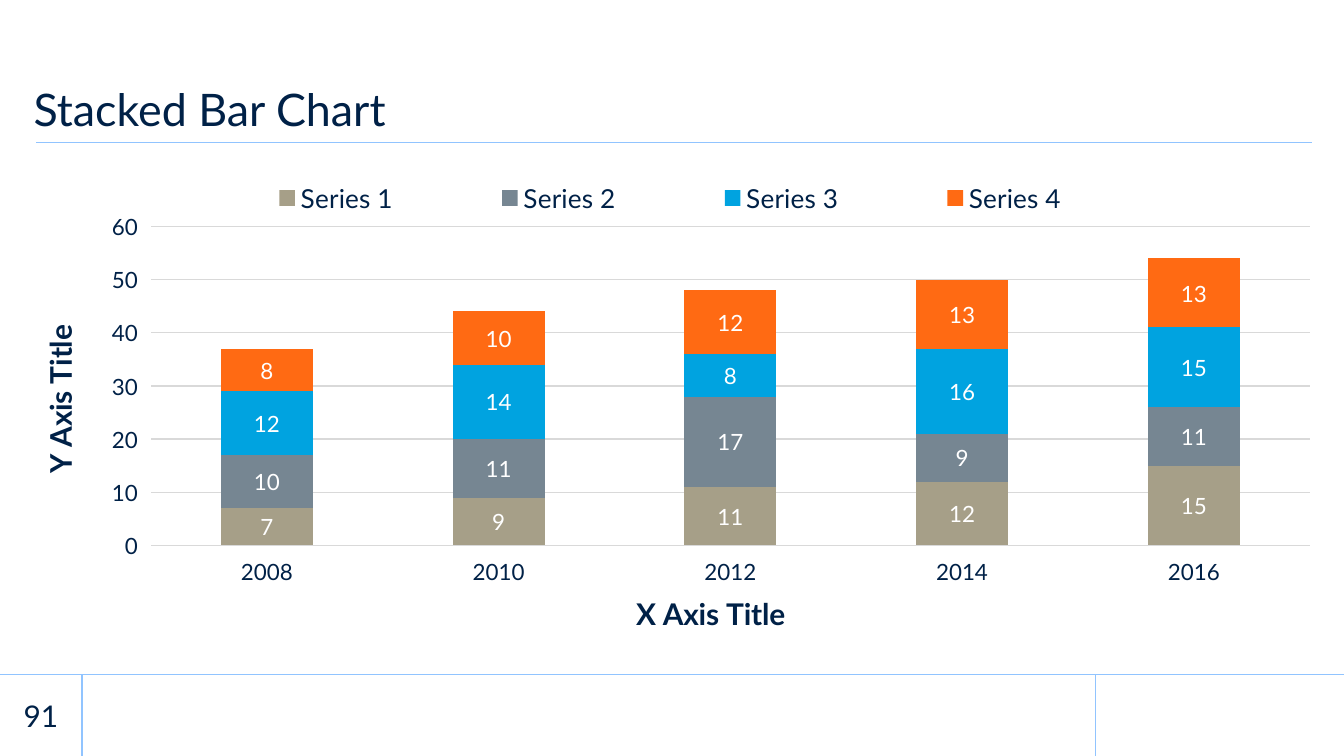
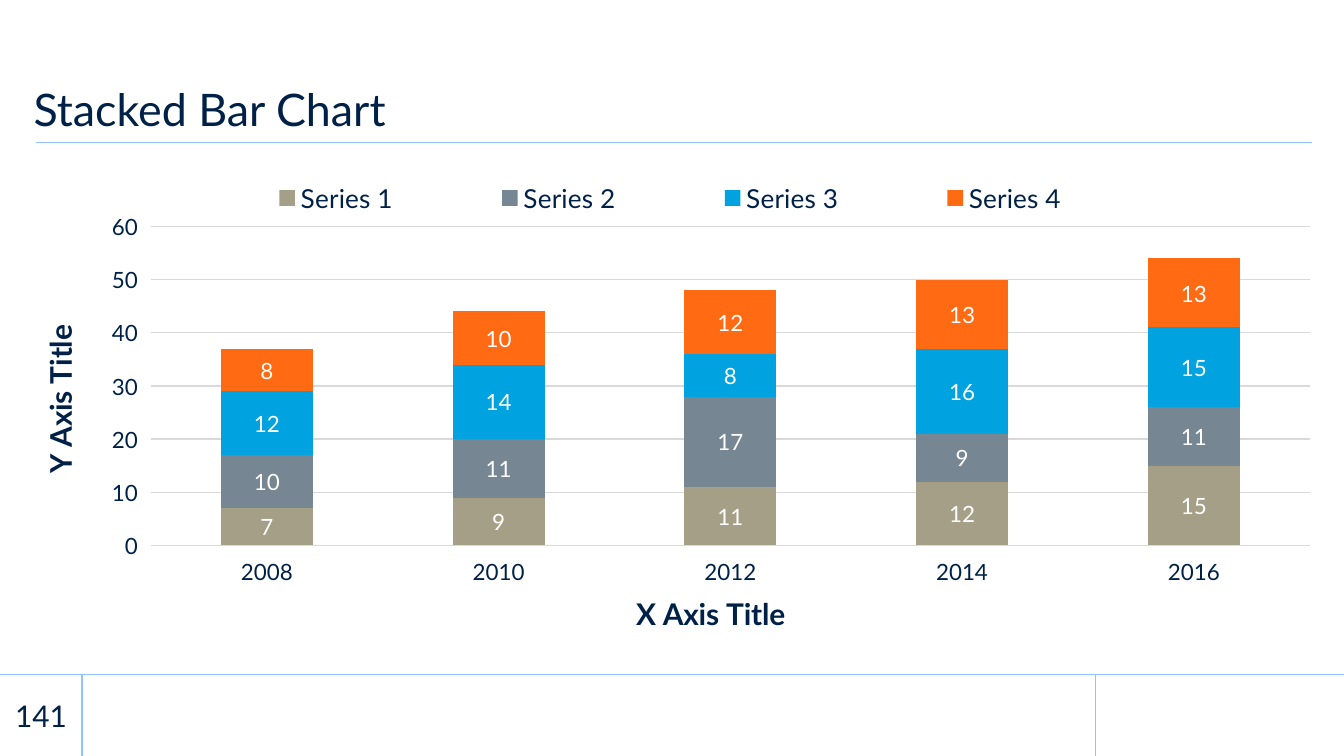
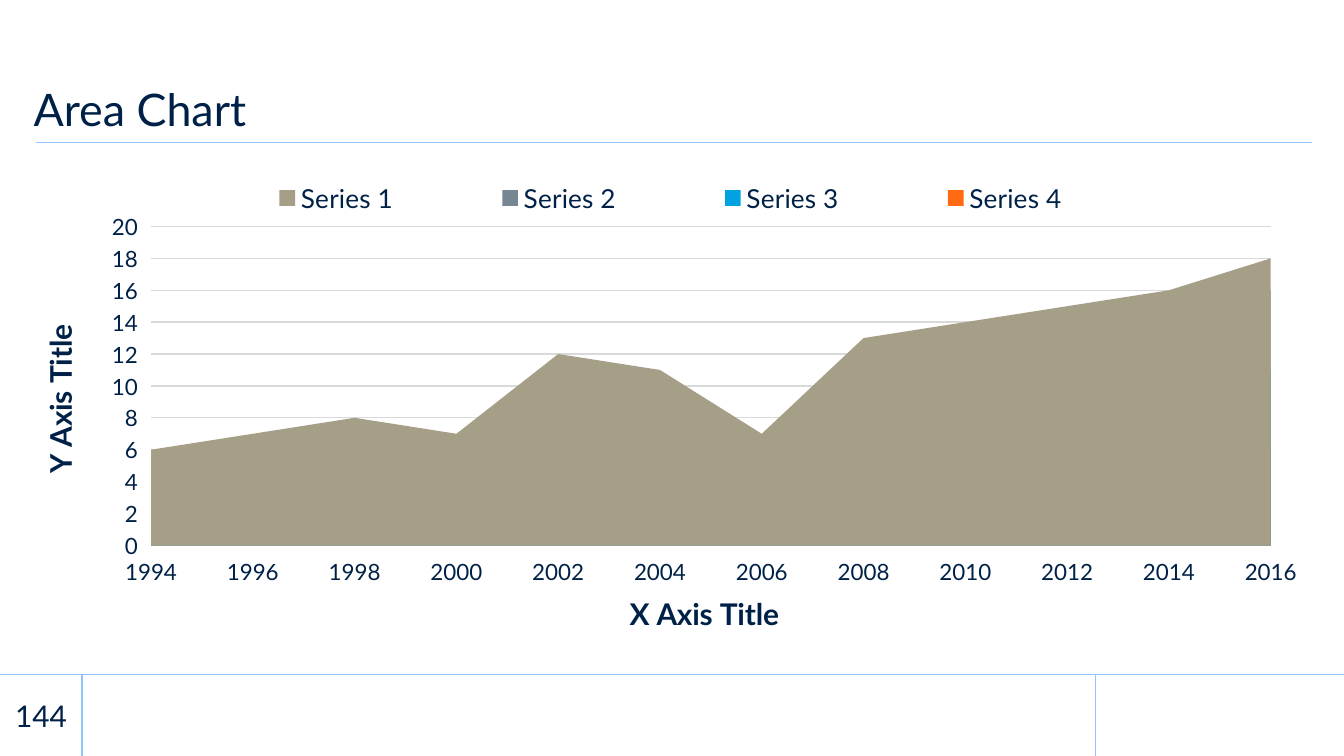
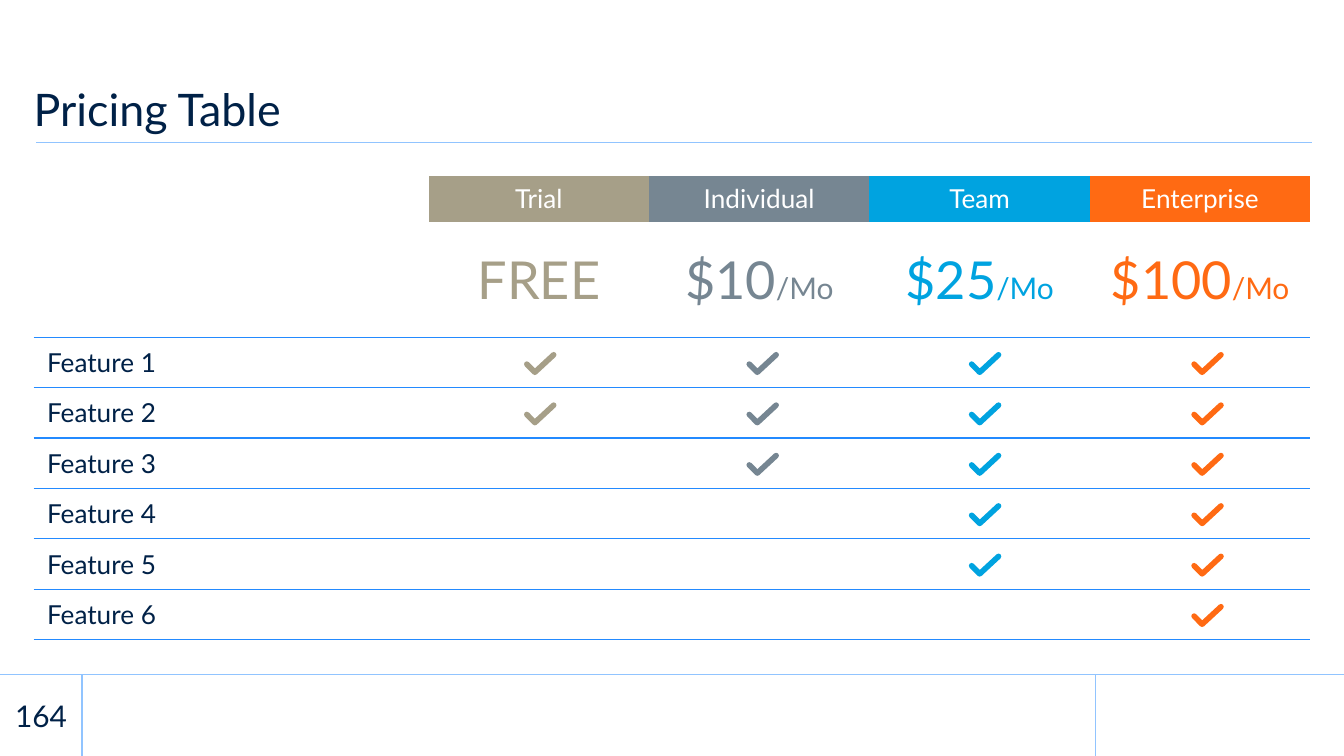
from lxml.etree import SubElement
from pptx import Presentation
from pptx.chart.data import CategoryChartData
from pptx.dml.color import RGBColor
from pptx.enum.chart import XL_CHART_TYPE as ChartType
from pptx.enum.chart import XL_LABEL_POSITION as LabelPosition
from pptx.enum.chart import XL_LEGEND_POSITION as LegendPosition
from pptx.enum.chart import XL_TICK_MARK as TickMark
from pptx.enum.shapes import MSO_CONNECTOR as Connector
from pptx.enum.shapes import MSO_SHAPE as Shape
from pptx.enum.text import MSO_ANCHOR as Anchor
from pptx.enum.text import MSO_AUTO_SIZE as AutoSize
from pptx.enum.text import PP_ALIGN as Align
from pptx.oxml.ns import qn
from pptx.util import Inches, Pt

FONT = "Lato"
NAVY, WHITE, BLACK = "002147", "FFFFFF", "000000"
RULE, GRID, ROW_LINE = "91C4FF", "D9D9D9", "238AFF"
ACCENTS = ["A69F88", "768692", "00A3E0", "FF6A13"]

WIDTH, HEIGHT = 10, 5.625
MARGIN = 0.25
BODY = (MARGIN, 1.31, WIDTH - 2 * MARGIN, 3.45)
FOOTER_TOP = 5.02
FOOTER_HEIGHT = HEIGHT - FOOTER_TOP
NUMBER_WIDTH, LOGO_LEFT = 0.61, 8.15
FOOTER_BANDS = [(0, WIDTH, 85), (LOGO_LEFT, WIDTH - LOGO_LEFT, 100)]  # left, width, opacity
RULES = [
    (WIDTH, FOOTER_TOP, 0, FOOTER_TOP),
    (LOGO_LEFT, HEIGHT, LOGO_LEFT, FOOTER_TOP),
    (NUMBER_WIDTH, HEIGHT, NUMBER_WIDTH, FOOTER_TOP),
    (9.76, 1.06, 0.27, 1.06),
]

# Chart areas are shares of the chart frame: left, top, width, height
LEGEND_AREA = (0.114, 0, 0.77, 0.095)
STACKED = {
    "type": ChartType.COLUMN_STACKED,
    "years": range(2008, 2017, 2),
    "values": [(7, 9, 11, 12, 15), (10, 11, 17, 9, 11),
               (12, 14, 8, 16, 15), (8, 10, 12, 13, 13)],
    "top": 60, "step": 10,
    "plot_area": (0.092, 0.109, 0.908, 0.688),
}
AREA = {
    "type": ChartType.AREA,
    "years": range(1994, 2017, 2),
    "values": [(6, 7, 8, 7, 12, 11, 7, 13, 14, 15, 16, 18),
               (3, 4, 5, 5, 8, 8, 5, 7, 8, 11, 13, 16),
               (2, 3, 4, 4, 6, 6, 3, 5, 6, 7, 9, 11),
               (1, 2, 3, 2, 3, 3, 2, 3, 4, 5, 5, 6)],
    "top": 20, "step": 2,
    "plot_area": (0.092, 0.109, 0.877, 0.688),
}

PLANS = [  # name, price, unit, number of features included
    ("Trial", "FREE", "", 2),
    ("Individual", "$10", "/Mo", 3),
    ("Team", "$25", "/Mo", 5),
    ("Enterprise", "$100", "/Mo", 6),
]
FEATURES = [f"Feature {number}" for number in range(1, 7)]
FEATURE_WIDTH, PLAN_WIDTH = 2.94, 1.64
NAME_HEIGHT, PRICE_HEIGHT, FEATURE_HEIGHT = 0.34, 0.86, 0.375
NO_STYLE = "{2D5ABB26-0587-4C30-8999-92F81FD0307C}"
CHECK_START, CHECK_PITCH = (3.92, 2.64), (1.655, FEATURE_HEIGHT)
CHECK_POINTS = [(0, 0.07), (0.06, 0.13), (0.2, 0)]


def rgb(value):
    return RGBColor.from_string(value)


def inches(*lengths):
    return [Inches(length) for length in lengths]


def style_font(font, size, color):
    for name, value in {"name": FONT, "size": Pt(size)}.items():
        setattr(font, name, value)
    font.color.rgb = rgb(color)


def style_line(line, color, width):
    line.color.rgb = rgb(color)
    line.width = Pt(width)


def write(para, text, size, color):
    span = para.add_run()
    span.text = text
    style_font(span.font, size, color)


def add_frame_to_layout(page, layout):
    """Draw the bands and rules on the page, then move them to its layout."""
    parts = []
    for left, width, opacity in FOOTER_BANDS:
        band = page.shapes.add_shape(
            Shape.RECTANGLE, *inches(left, FOOTER_TOP, width, FOOTER_HEIGHT))
        band.shadow.inherit = False
        band.fill.solid()
        band.fill.fore_color.rgb = rgb(WHITE)
        band.line.fill.background()
        if opacity < 100:
            color = band.element.spPr.find(".//" + qn("a:srgbClr"))
            SubElement(color, qn("a:alpha"), val=str(opacity * 1000))
        parts.append(band)
    for ends in RULES:
        rule = page.shapes.add_connector(Connector.STRAIGHT, *inches(*ends))
        style_line(rule.line, RULE, 0.75)
        SubElement(rule.element.spPr, qn("a:effectLst"))
        parts.append(rule)
    for part in parts:
        layout.shapes.element.append(part.element)


def set_frame(frame, **values):
    for name, value in values.items():
        setattr(frame, name, value)


def add_title(page, text):
    title = page.shapes.title
    title.left, title.top, title.width, title.height = inches(MARGIN, 0.26, BODY[2], 0.8)
    set_frame(title.text_frame, margin_left=0, margin_top=0, margin_right=0,
              margin_bottom=Inches(0.05), vertical_anchor=Anchor.BOTTOM,
              word_wrap=True, auto_size=AutoSize.NONE)
    para = title.text_frame.paragraphs[0]
    para.alignment = Align.LEFT
    para.line_spacing = 0.9
    write(para, text, 24, NAVY)


def add_number(page, number):
    box = page.shapes.add_textbox(*inches(0, FOOTER_TOP, NUMBER_WIDTH, FOOTER_HEIGHT))
    set_frame(box.text_frame, margin_left=0, margin_top=0, margin_right=0, margin_bottom=0,
              vertical_anchor=Anchor.MIDDLE, word_wrap=False)
    para = box.text_frame.paragraphs[0]
    para.alignment = Align.CENTER
    write(para, str(number), 16, NAVY)


def place(part, area, inner=False):
    """Give a plot area or legend a fixed place within its chart."""
    layout = part.find(qn("c:layout"))
    if layout is None:
        layout = SubElement(part, qn("c:layout"))
        if part.tag == qn("c:legend"):
            part.find(qn("c:legendPos")).addnext(layout)
        else:
            part.insert(0, layout)
    for child in list(layout):
        layout.remove(child)
    manual = SubElement(layout, qn("c:manualLayout"))
    settings = [("layoutTarget", "inner")] if inner else []
    settings += [("xMode", "edge"), ("yMode", "edge"), *zip("xywh", area)]
    for name, value in settings:
        SubElement(manual, qn(f"c:{name}"), val=str(value))


def style_axis(axis, title):
    axis.major_tick_mark = TickMark.OUTSIDE
    axis.minor_tick_mark = TickMark.NONE
    axis.format.line.fill.background()
    style_font(axis.tick_labels.font, 12, NAVY)
    write(axis.axis_title.text_frame.paragraphs[0], title, 16, NAVY)


def add_chart(page, content):
    data = CategoryChartData()
    data.categories = [str(year) for year in content["years"]]
    for number, values in enumerate(content["values"], 1):
        data.add_series(f"Series {number}", values)
    chart = page.shapes.add_chart(content["type"], *inches(*BODY), data).chart
    style_font(chart.font, 18, BLACK)
    chart.has_title = False

    chart.has_legend = True
    chart.legend.position = LegendPosition.TOP
    chart.legend.include_in_layout = False
    style_font(chart.legend.font, 14, NAVY)
    place(chart.legend.element if hasattr(chart.legend, "element")
          else chart.element.find(".//" + qn("c:legend")), LEGEND_AREA)
    place(chart.element.find(".//" + qn("c:plotArea")), content["plot_area"], inner=True)

    values_axis = chart.value_axis
    style_axis(chart.category_axis, "X Axis Title")
    style_axis(values_axis, "Y Axis Title")
    values_axis.axis_title.element.find(".//" + qn("a:bodyPr")).set("rot", "-5400000")
    values_axis.minimum_scale = 0
    values_axis.maximum_scale = content["top"]
    values_axis.major_unit = content["step"]
    values_axis.has_major_gridlines = True
    style_line(values_axis.major_gridlines.format.line, GRID, 0.75)

    plot = chart.plots[0]
    plot.vary_by_categories = False
    stacked = content["type"] == ChartType.COLUMN_STACKED
    if stacked:
        plot.gap_width, plot.overlap = 152, 100
    for series, color in zip(plot.series, ACCENTS):
        series.format.fill.solid()
        series.format.fill.fore_color.rgb = rgb(color)
        if stacked:
            labels = series.data_labels
            labels.show_value = True
            labels.position = LabelPosition.CENTER
            style_font(labels.font, 12, WHITE)


def add_border(cell, *sides):
    properties = cell._tc.get_or_add_tcPr()
    for index, side in enumerate(sides):
        line = SubElement(properties, qn(f"a:{side}"), w=str(Pt(0.75)))
        fill = SubElement(line, qn("a:solidFill"))
        SubElement(fill, qn("a:srgbClr"), val=ROW_LINE)
        properties.insert(index, line)


def add_check(page, column, row):
    left, top = (start + pitch * step for start, pitch, step
                 in zip(CHECK_START, CHECK_PITCH, (column, row)))
    points = [tuple(inches(left + x, top + y)) for x, y in CHECK_POINTS]
    builder = page.shapes.build_freeform(*points[0])
    builder.add_line_segments(points[1:], close=False)
    check = builder.convert_to_shape()
    check.shadow.inherit = False
    check.fill.background()
    style_line(check.line, ACCENTS[column], 3)
    line = check.element.spPr.find(qn("a:ln"))
    line.set("cap", "rnd")
    SubElement(line, qn("a:round"))


def add_pricing(page, _):
    heights = [NAME_HEIGHT, PRICE_HEIGHT] + [FEATURE_HEIGHT] * len(FEATURES)
    widths = [FEATURE_WIDTH] + [PLAN_WIDTH] * len(PLANS)
    frame = page.shapes.add_table(len(heights), len(widths), *inches(*BODY))
    table = frame.table
    table.first_row = table.horz_banding = False
    frame.element.find(".//" + qn("a:tableStyleId")).text = NO_STYLE
    for row, height in zip(table.rows, heights):
        row.height = Inches(height)
    for column, width in zip(table.columns, widths):
        column.width = Inches(width)
    for cell in table.iter_cells():
        set_frame(cell, vertical_anchor=Anchor.MIDDLE, margin_top=0, margin_bottom=0)
        cell.fill.background()
    table.cell(0, 0).merge(table.cell(1, 0))

    for column, (plan, price, unit, included) in enumerate(PLANS):
        color = ACCENTS[column]
        name_cell, price_cell = (table.cell(row, column + 1) for row in (0, 1))
        name_cell.fill.solid()
        name_cell.fill.fore_color.rgb = rgb(color)
        spans = [(name_cell, plan, 14, WHITE), (price_cell, price, 28, color)]
        if unit:
            spans.append((price_cell, unit, 16, color))
        for cell, text, size, ink in spans:
            para = cell.text_frame.paragraphs[0]
            para.alignment = Align.CENTER
            write(para, text, size, ink)
        for row in range(included):
            add_check(page, column, row)
    for row, feature in enumerate(FEATURES, 2):
        write(table.cell(row, 0).text_frame.paragraphs[0], feature, 14, NAVY)

    for column in range(len(widths)):
        for row in range(len(heights)):
            if row >= 2:
                add_border(table.cell(row, column), "lnT", "lnB")
            elif row == 1 or column == 0:
                add_border(table.cell(row, column), "lnB")


PAGES = [  # title, number, drawing function, its content
    ("Stacked Bar Chart", 91, add_chart, STACKED),
    ("Stacked Bar Chart", 141, add_chart, STACKED),
    ("Area Chart", 144, add_chart, AREA),
    ("Pricing Table", 164, add_pricing, None),
]


def main():
    deck = Presentation()
    deck.slide_width, deck.slide_height = inches(WIDTH, HEIGHT)
    layout = deck.slide_layouts.get_by_name("Title Only")
    for index, (title, number, draw, content) in enumerate(PAGES):
        page = deck.slides.add_slide(layout)
        if index == 0:
            add_frame_to_layout(page, layout)
        draw(page, content)
        add_number(page, number)
        add_title(page, title)
    deck.save("out.pptx")


if __name__ == "__main__":
    main()
